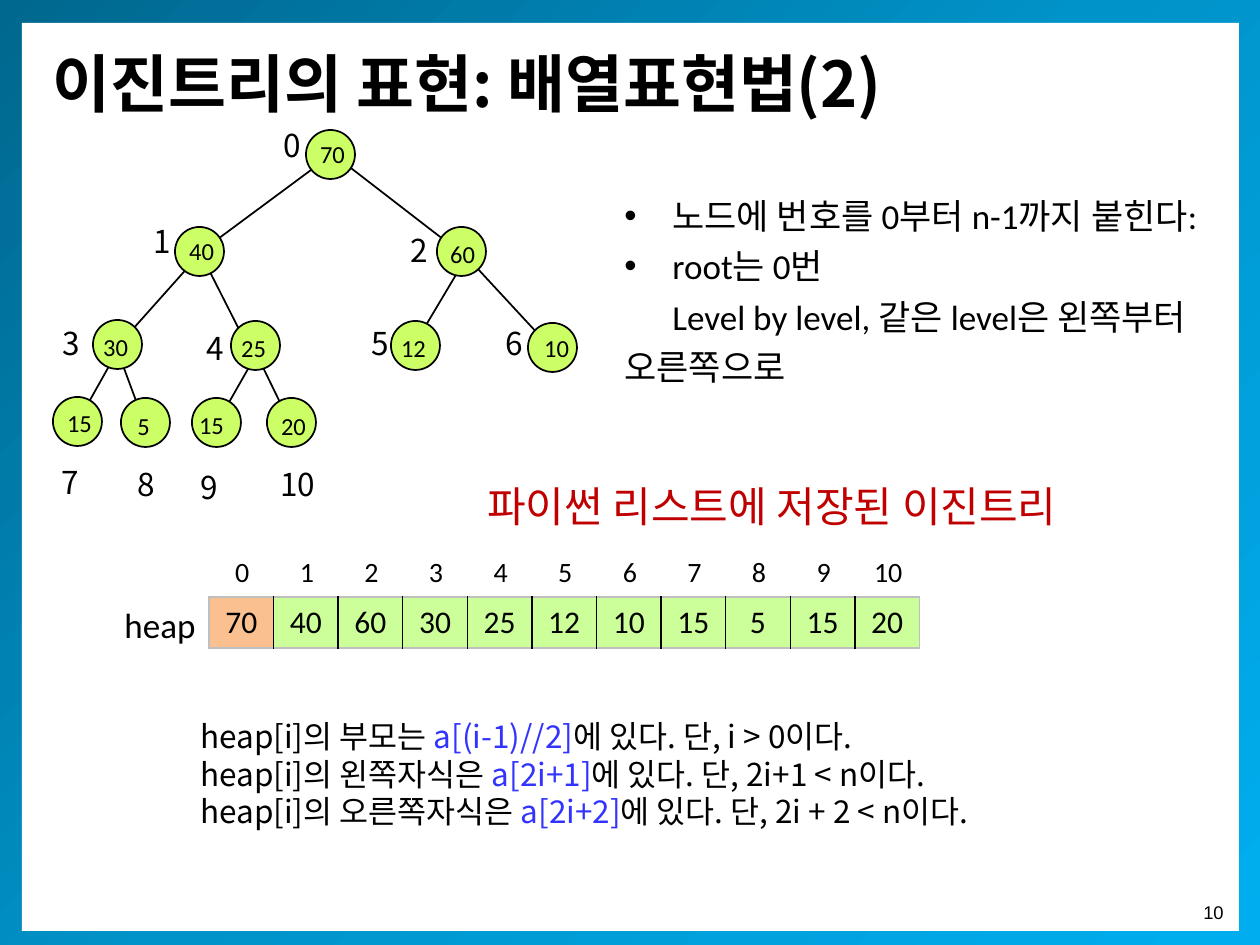
from copy import deepcopy
from dataclasses import dataclass

from lxml import etree
from pptx import Presentation
from pptx.dml.color import RGBColor
from pptx.enum.shapes import MSO_CONNECTOR, MSO_SHAPE
from pptx.enum.text import MSO_ANCHOR, PP_ALIGN
from pptx.oxml.ns import qn
from pptx.util import Pt

SCALE = 914400 / 126
RECTANGLE, OVAL = MSO_SHAPE.RECTANGLE, MSO_SHAPE.OVAL
STRAIGHT = MSO_CONNECTOR.STRAIGHT
LEFT, CENTER, RIGHT = PP_ALIGN.LEFT, PP_ALIGN.CENTER, PP_ALIGN.RIGHT
TOP, MIDDLE = MSO_ANCHOR.TOP, MSO_ANCHOR.MIDDLE
PLAIN_TABLE = "{2D5ABB26-0587-4C30-8999-92F81FD0307C}"


@dataclass(frozen=True)
class Theme:
    ink: str = "000000"
    paper: str = "FFFFFF"
    accent: str = "C00000"
    formula: str = "3333FF"
    node: str = "CCFF66"
    cell: str = "CCFF99"
    root_cell: str = "FAC090"
    edge: str = "BFBFBF"
    frame: tuple = ((0, "00678E"), (0.5, "0093C9"), (1, "00AEEF"))
    body: str = "Calibri"
    korean: str = "Noto Sans CJK KR"
    plain: str = "Arial"
    title: float = 36
    heading: float = 24
    text: float = 20
    small: float = 18
    index: float = 16
    value: float = 14
    footer: float = 10.5
    tight: float = 21.5


def px(length):
    return round(length * SCALE)


def rgb(color):
    return RGBColor.from_string(color)


class SlideBuilder:
    """Draws styled elements on the current slide."""

    def __init__(self, page, theme):
        self.page = page
        self.theme = theme

    def shape(self, kind, area, color=None, outline=None):
        shape = self.page.shapes.add_shape(kind, *map(px, area))
        shape.shadow.inherit = False
        if color:
            shape.fill.solid()
            shape.fill.fore_color.rgb = rgb(color)
        if outline:
            shape.line.color.rgb = rgb(outline)
            shape.line.width = Pt(1)
        else:
            shape.line.fill.background()
        return shape

    def gradient(self, area, stops):
        fill = self.shape(RECTANGLE, area).fill
        fill.gradient()
        fill.gradient_angle = 315
        stop_list = next(self.page.shapes[-1].element.iter(qn("a:gsLst")))
        stop_list.insert(1, deepcopy(stop_list[0]))
        for stop, (position, color) in zip(fill.gradient_stops, stops):
            stop.position = position
            stop.color.rgb = rgb(color)

    def line(self, start_x, start_y, end_x, end_y):
        line = self.page.shapes.add_connector(
            STRAIGHT, px(start_x), px(start_y), px(end_x), px(end_y))
        line.line.color.rgb = rgb(self.theme.ink)
        line.line.width = Pt(1)
        etree.SubElement(line.element.spPr, qn("a:effectLst"))

    def font(self, para, size, name, color=None, bold=False):
        para.font.size = Pt(size)
        para.font.name = name
        para.font.bold = bold
        para.font.color.rgb = rgb(color or self.theme.ink)

    def text(self, area, paras, size, name, color=None, bold=False,
             align=LEFT, anchor=TOP, spacing=None):
        box = self.page.shapes.add_textbox(*map(px, area))
        frame = box.text_frame
        frame.word_wrap = True
        frame.vertical_anchor = anchor
        for number, spans in enumerate(paras):
            para = frame.add_paragraph() if number else frame.paragraphs[0]
            para.alignment = align
            para.line_spacing = spacing
            self.font(para, size, name, color, bold)
            for content, span_color in spans:
                span = para.add_run()
                span.text = content
                if span_color:
                    span.font.color.rgb = rgb(span_color)
        return frame

    def label(self, area, content, size, name, **style):
        return self.text(area, [[(content, None)]], size, name, **style)

    def indent(self, para, margin, first, bullet=None):
        properties = para._p.get_or_add_pPr()
        properties.set("marL", str(px(margin)))
        properties.set("indent", str(px(first)))
        if bullet:
            etree.SubElement(properties, qn("a:buFont")).set("typeface", "Arial")
            etree.SubElement(properties, qn("a:buChar")).set("char", bullet)
            defaults = properties.find(qn("a:defRPr"))
            if defaults is not None:
                properties.append(defaults)

    def border(self, cell, side, color):
        properties = cell._tc.get_or_add_tcPr()
        line = etree.Element(qn(f"a:{side}"), w=str(Pt(1)))
        fill = etree.SubElement(line, qn("a:solidFill"))
        etree.SubElement(fill, qn("a:srgbClr"), val=color)
        properties.append(line)

    def row_table(self, area, values, size, fills=None):
        frame = self.page.shapes.add_table(1, len(values), *map(px, area))
        next(frame.element.iter(qn("a:tableStyleId"))).text = PLAIN_TABLE
        table = frame.table
        table.first_row = table.horz_banding = False
        last = len(values) - 1
        for column, value in enumerate(values):
            cell = table.cell(0, column)
            cell.text = str(value)
            cell.vertical_anchor = MIDDLE
            para = cell.text_frame.paragraphs[0]
            para.alignment = CENTER
            self.font(para, size, self.theme.body)
            if not fills:
                cell.fill.background()
                continue
            edge, ink = self.theme.edge, self.theme.ink
            self.border(cell, "lnL", ink if column else edge)
            self.border(cell, "lnR", ink if column < last else edge)
            self.border(cell, "lnT", edge)
            self.border(cell, "lnB", edge)
            cell.fill.solid()
            cell.fill.fore_color.rgb = rgb(fills[column])


NODES = [
    (70, (306, 130), (305, 132), (271, 120)),
    (40, (175, 227), (174, 229), (141, 216)),
    (60, (437, 227), (435, 232), (398, 225)),
    (30, (93, 320), (88, 325), (50, 318)),
    (25, (231, 321), (226, 326), (194, 323)),
    (12, (391, 321), (386, 326), (359, 318)),
    (10, (528, 323), (529, 326), (493, 318)),
    (15, (53, 397), (52, 401), (49, 457)),
    (5, (121, 398), (116, 404), (125, 459)),
    (15, (192, 398), (184, 403), (188, 462)),
    (20, (267, 398), (266, 404), (268, 459)),
]
EDGES = [
    (330, 156, 199, 253), (334, 155, 461, 253),
    (199, 255, 116, 348), (210, 272, 249, 349),
    (469, 253, 413, 347), (465, 255, 552, 349),
    (117, 352, 76, 425), (118, 352, 145, 425),
    (256, 355, 215, 427), (257, 355, 291, 425),
]
NOTES = [
    ("노드에 번호를 0부터 n-1까지 붙힌다:", 48, -48, "•"),
    ("root는 0번", 48, -48, "•"),
    ("Level by level, 같은 level은 왼쪽부터 오른쪽으로", 0, 48, None),
]
RULES = [
    ("heap[i]의 부모는 ", "a[(i-1)//2]", "에 있다. 단, i > 0이다."),
    ("heap[i]의 왼쪽자식은 ", "a[2i+1]", "에 있다. 단, 2i+1 < n이다."),
    ("heap[i]의 오른쪽자식은 ", "a[2i+2]", "에 있다. 단, 2i + 2 < n이다."),
]


def main():
    deck = Presentation()
    deck.slide_width, deck.slide_height = px(1260), px(945)
    theme = Theme()
    slide = SlideBuilder(deck.slides.add_slide(deck.slide_layouts[6]), theme)

    slide.gradient((0, -5, 1260, 956), theme.frame)
    slide.shape(RECTANGLE, (22, 23, 1217, 908), theme.paper)
    slide.label((1187, 895, 49, 35), "10", theme.footer, theme.plain, align=RIGHT)
    slide.label((40, 29, 1143, 106), "이진트리의 표현: 배열표현법(2)",
                theme.title, theme.korean, bold=True, anchor=MIDDLE)

    for edge in EDGES:
        slide.line(*edge)
    for number, (value, circle, value_at, label_at) in enumerate(NODES):
        slide.shape(OVAL, (*circle, 49, 49), theme.node, theme.ink)
        slide.label((*value_at, 55, 43), str(value), theme.value, theme.body,
                    align=CENTER, anchor=MIDDLE)
        slide.label((*label_at, 78, 50), str(number), theme.small, theme.korean,
                    spacing=Pt(theme.tight))

    notes = slide.text((612, 180, 626, 212), [[(note[0], None)] for note in NOTES],
                       theme.text, theme.body, spacing=1.2)
    for para, (_, margin, first, bullet) in zip(notes.paragraphs, NOTES):
        slide.indent(para, margin, first, bullet)

    slide.label((475, 474, 703, 63), "파이썬 리스트에 저장된 이진트리",
                theme.heading, theme.body, color=theme.accent)
    values = [node[0] for node in NODES]
    slide.label((107, 597, 106, 55), "heap", theme.text, theme.body, align=CENTER)
    slide.row_table((209, 597, 711, 51), values, theme.small,
                    [theme.root_cell] + [theme.cell] * (len(values) - 1))
    slide.row_table((210, 547, 711, 52), range(len(values)), theme.index)

    rules = [[(start, None), (formula, theme.formula), (end, None)]
             for start, formula, end in RULES]
    slide.text((188, 711, 914, 127), rules, theme.small, theme.korean,
               spacing=Pt(theme.tight))
    deck.save("out.pptx")


if __name__ == "__main__":
    main()
